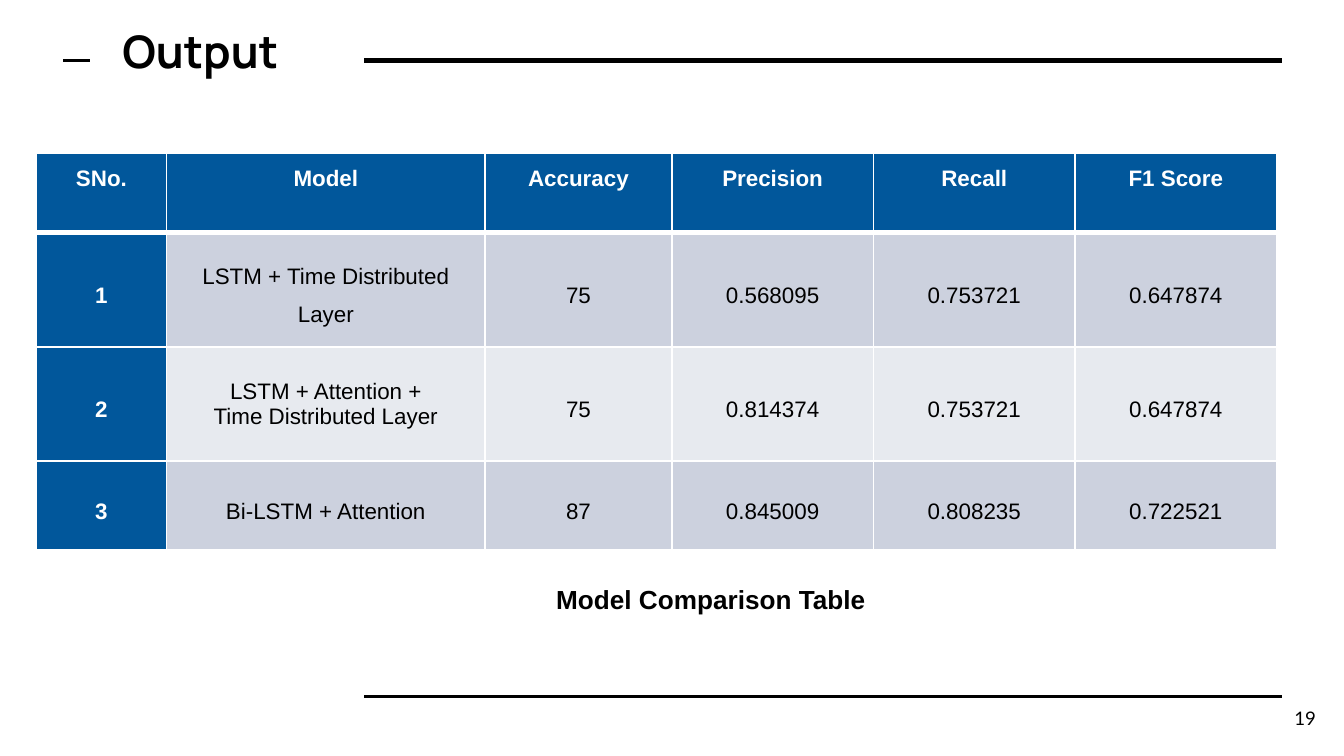
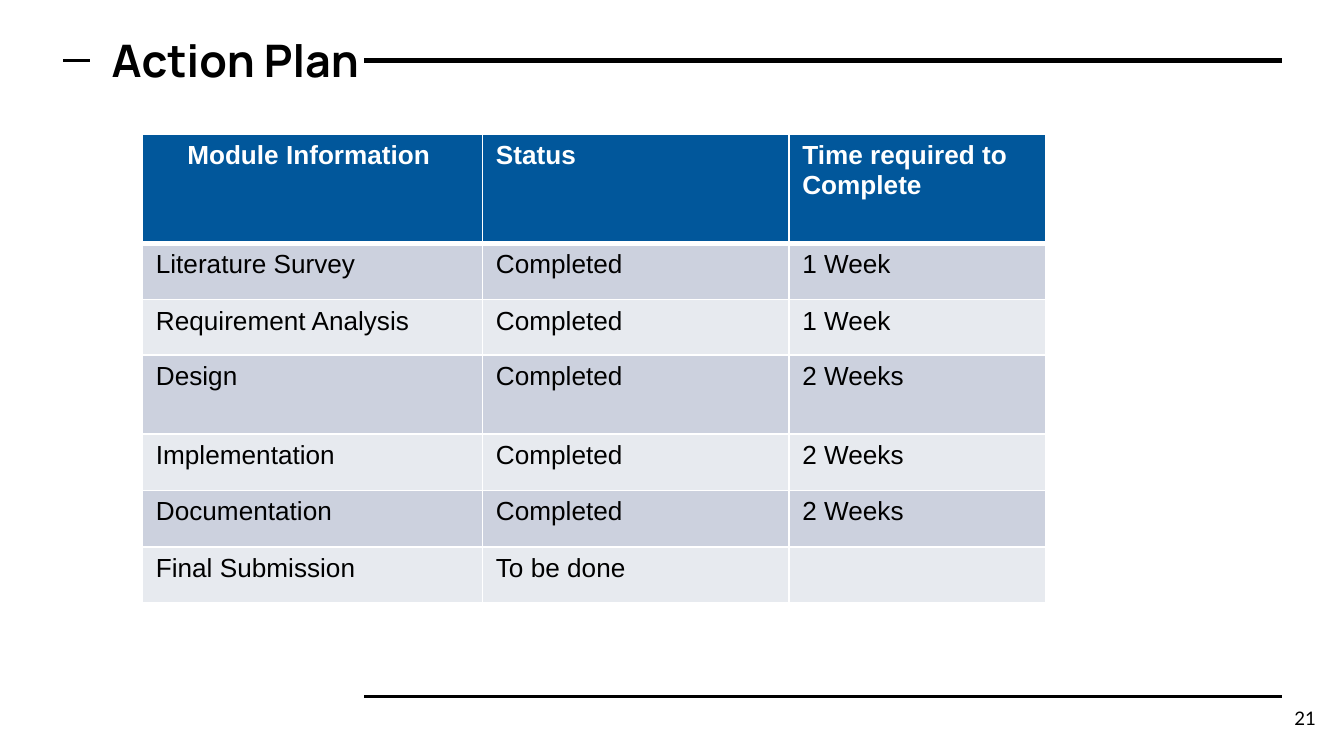
"""Builds the model comparison and action plan slides."""
from dataclasses import dataclass

from lxml import etree
from pptx import Presentation
from pptx.dml.color import RGBColor
from pptx.enum import shapes, text
from pptx.oxml.ns import qn
from pptx.util import Inches, Pt

BLACK = RGBColor(0x00, 0x00, 0x00)
WHITE = RGBColor(0xFF, 0xFF, 0xFF)
BLUE = RGBColor(0x01, 0x57, 0x9B)
BANDS = (RGBColor(0xCC, 0xD1, 0xDE), RGBColor(0xE7, 0xEA, 0xEF))
LEFT, MID, RIGHT = text.PP_ALIGN.LEFT, text.PP_ALIGN.CENTER, text.PP_ALIGN.RIGHT
TOP, HALF = text.MSO_ANCHOR.TOP, text.MSO_ANCHOR.MIDDLE


@dataclass(frozen=True)
class Box:
    left: float
    top: float
    width: float
    height: float


@dataclass(frozen=True)
class Font:
    name: str
    size: float
    bold: bool = False
    color: RGBColor = BLACK


@dataclass(frozen=True)
class Rule:
    start: float
    end: float
    y: float
    weight: float


@dataclass(frozen=True)
class Grid:
    left: float
    top: float
    cols: tuple[float, ...]
    rows: tuple[float, ...]
    cells: tuple[tuple[str, ...], ...]
    size: float
    pad: tuple[float, float]
    lead: float
    anchor: text.MSO_ANCHOR
    center: bool
    key: bool


@dataclass(frozen=True)
class Page:
    title: str
    place: Box
    number: str
    grid: Grid


RULES = (Rule(2.71, 9.54, 0.45, 3), Rule(2.71, 9.54, 5.18, 1.5),
         Rule(0.47, 0.67, 0.45, 1.5))
HEAD = Font("Manrope", 24, True)
FOOT = Font("Lato", 10)
NOTE = Font("Arial", 14, True)

SCORES = Grid(
    0.27, 1.14, (0.97, 2.37, 1.39, 1.5, 1.5, 1.5), (0.59, 0.85, 0.85, 0.66),
    (("SNo.", "Model", "Accuracy", "Precision", "Recall", "F1 Score"),
     ("1", "LSTM + Time Distributed Layer", "75", "0.568095", "0.753721", "0.647874"),
     ("2", "LSTM + Attention +\nTime Distributed Layer", "75", "0.814374",
      "0.753721", "0.647874"),
     ("3", "Bi-LSTM + Attention", "87", "0.845009", "0.808235", "0.722521")),
    size=12, pad=(0.07, 0), lead=1.5, anchor=HALF, center=True, key=True)

PLAN = Grid(
    1.06, 1, (2.53, 2.28, 1.91), (0.81, 0.42, 0.41, 0.59, 0.42, 0.42, 0.42),
    (("Module Information ", "Status", "Time required to Complete"),
     ("Literature Survey", "Completed", "1 Week"),
     ("Requirement Analysis", "Completed", "1 Week"),
     ("Design", "Completed", "2 Weeks"),
     ("Implementation", "Completed", "2 Weeks"),
     ("Documentation", "Completed", "2 Weeks"),
     ("Final Submission", "To be done", "")),
    size=14, pad=(0.1, 0.05), lead=1, anchor=TOP, center=False, key=False)

PAGES = (Page("Output", Box(0.81, 0.08, 6.91, 0.69), "19", SCORES),
         Page("Action Plan", Box(0.73, 0.14, 2.44, 0.69), "21", PLAN))


def write(par, words: str, font: Font, align=LEFT) -> None:
    par.alignment = align
    if not words:
        return
    run = par.add_run()
    run.text = words
    run.font.name = font.name
    run.font.size = Pt(font.size)
    run.font.bold = font.bold
    run.font.color.rgb = font.color


def setup(frame, anchor, pad: tuple[float, float], wrap: bool = True) -> None:
    frame.word_wrap = wrap
    frame.auto_size = text.MSO_AUTO_SIZE.NONE
    frame.vertical_anchor = anchor
    frame.margin_left = frame.margin_right = Inches(pad[0])
    frame.margin_top = frame.margin_bottom = Inches(pad[1])


def add_title(slide, page: Page) -> None:
    shape, box = slide.shapes.title, page.place
    shape.left, shape.top = Inches(box.left), Inches(box.top)
    shape.width, shape.height = Inches(box.width), Inches(box.height)
    setup(shape.text_frame, TOP, (0.1, 0.1))
    write(shape.text_frame.paragraphs[0], page.title, HEAD)


def add_text(slide, box: Box, words: str, font: Font, align, pad, wrap=True) -> None:
    shape = slide.shapes.add_textbox(Inches(box.left), Inches(box.top),
                                     Inches(box.width), Inches(box.height))
    setup(shape.text_frame, HALF, pad, wrap)
    write(shape.text_frame.paragraphs[0], words, font, align)


def add_rule(slide, rule: Rule) -> None:
    y = Inches(rule.y)
    line = slide.shapes.add_connector(shapes.MSO_CONNECTOR.STRAIGHT,
                                      Inches(rule.start), y, Inches(rule.end), y)
    line.line.color.rgb = BLACK
    line.line.width = Pt(rule.weight)
    etree.SubElement(line._element.spPr, qn("a:effectLst"))


def edge(cell, row: int) -> None:
    props = cell._tc.get_or_add_tcPr()
    heavy = {"T": row == 1, "B": row == 0}
    for side in "LRTB":
        weight = 3 if heavy.get(side) else 1
        line = etree.SubElement(props, qn(f"a:ln{side}"), w=str(Pt(weight)))
        fill = etree.SubElement(line, qn("a:solidFill"))
        etree.SubElement(fill, qn("a:srgbClr"), val=str(WHITE))


def fill_cell(cell, grid: Grid, row: int, col: int) -> None:
    words = grid.cells[row][col]
    strong = row == 0 or (grid.key and col == 0)
    edge(cell, row)
    cell.fill.solid()
    cell.fill.fore_color.rgb = BLUE if strong else BANDS[(row - 1) % 2]
    cell.margin_left = cell.margin_right = Inches(grid.pad[0])
    cell.margin_top = cell.margin_bottom = Inches(grid.pad[1])
    cell.vertical_anchor = grid.anchor if row else TOP
    font = Font("Arial", grid.size, strong, WHITE if strong else BLACK)
    align = MID if grid.center or row == col == 0 else LEFT
    lines = words.split("\n")
    for i, line in enumerate(lines):
        frame = cell.text_frame
        par = frame.add_paragraph() if i else frame.paragraphs[0]
        par.line_spacing = grid.lead if len(lines) == 1 else 1.0
        write(par, line, font, align)


def add_grid(slide, grid: Grid) -> None:
    table = slide.shapes.add_table(
        len(grid.rows), len(grid.cols), Inches(grid.left), Inches(grid.top),
        Inches(sum(grid.cols)), Inches(sum(grid.rows))).table
    table.first_col = grid.key
    for col, width in zip(table.columns, grid.cols):
        col.width = Inches(width)
    for row, height in zip(table.rows, grid.rows):
        row.height = Inches(height)
    for r in range(len(grid.rows)):
        for c in range(len(grid.cols)):
            fill_cell(table.cell(r, c), grid, r, c)


def add_page(deck, page: Page):
    slide = deck.slides.add_slide(deck.slide_layouts[5])
    slide.background.fill.solid()
    slide.background.fill.fore_color.rgb = WHITE
    for rule in RULES:
        add_rule(slide, rule)
    add_title(slide, page)
    add_text(slide, Box(9.29, 5.13, 0.6, 0.43), page.number, FOOT, RIGHT, (0.1, 0.1))
    add_grid(slide, page.grid)
    return slide


def main() -> None:
    deck = Presentation()
    deck.slide_width = Inches(10)
    deck.slide_height = deck.slide_width * 9 // 16
    first, _ = [add_page(deck, page) for page in PAGES]
    add_text(first, Box(4.04, 4.05, 2.53, 0.81), "Model Comparison Table",
             NOTE, LEFT, (0.1, 0.05), wrap=False)
    deck.save("out.pptx")


if __name__ == "__main__":
    main()
